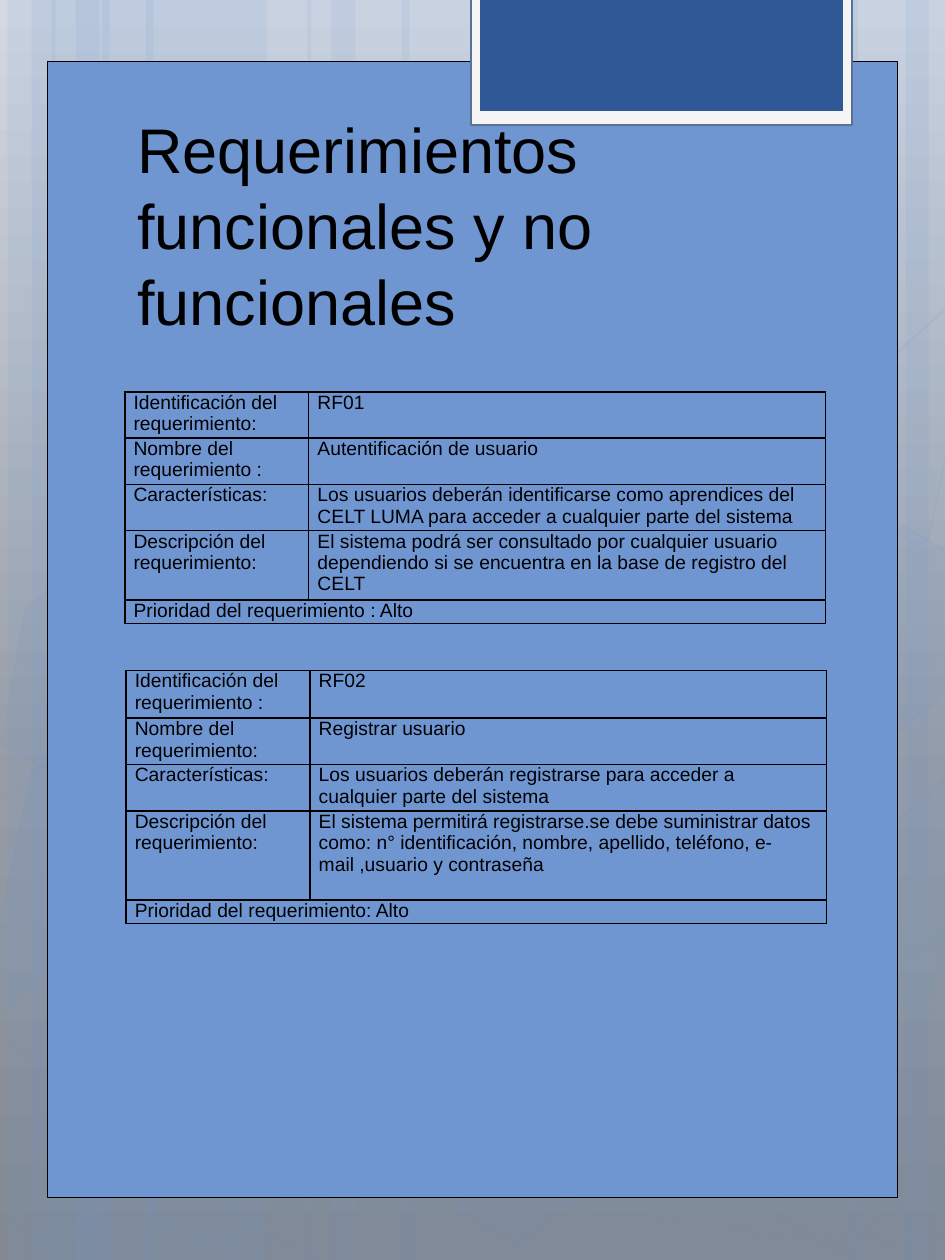
from copy import deepcopy
from dataclasses import dataclass

from lxml import etree
from pptx import Presentation
from pptx.dml.color import RGBColor
from pptx.enum.shapes import MSO_SHAPE
from pptx.enum.text import MSO_ANCHOR
from pptx.oxml.ns import qn
from pptx.util import Inches, Pt

RECTANGLE = MSO_SHAPE.RECTANGLE
HEXAGON = MSO_SHAPE.HEXAGON
BOTTOM = MSO_ANCHOR.BOTTOM

FONT = "Arial"
COLORS = {
    "sky": "D2D9E2", "haze": "959CA5", "ground": "828992",
    "blue": "7096D2", "ink": "000000",
    "frame": "F5F5F5", "frame_edge": "577293", "tab": "2F5897",
}
Point = tuple[float, float]


@dataclass
class Paint:
    fill: str | None = None
    fill_alpha: int = 100
    line: str | None = None
    line_width: float = 1
    line_alpha: int = 100


@dataclass
class Requirement:
    left: float
    top: float
    row_heights: list[float]
    rows: list[tuple[str, str]]
    priority: str


BACKDROP = [(0, "sky"), (0.62, "haze"), (1, "ground")]
BANDS = [  # left, width
    (0.81, 1.31), (0.06, 0.38), (0.25, 0.62), (1.16, 1.31), (0.41, 0.38), (0.6, 0.62),
    (5.5, 1.31), (7.19, 0.38), (6.75, 0.62), (3.19, 2.31), (2.44, 0.38), (2.63, 0.62),
]
WAVES = [  # start point, then three Bezier points for each segment
    [(0.05, 8.97), (0.46, 9.01), (0.86, 9.06), (1.43, 9.04), (1.99, 9.02), (2.68, 9),
     (3.43, 8.87), (4.19, 8.73), (5.25, 8.48), (5.94, 8.23), (6.62, 7.97), (7.33, 7.57),
     (7.55, 7.34)],
    [(0.05, 6.35), (0.27, 6.15), (0.49, 5.95), (0.91, 5.75), (1.34, 5.55), (1.94, 5.26),
     (2.61, 5.16), (3.27, 5.06), (4.08, 5.06), (4.9, 5.16), (5.73, 5.26), (7.1, 5.68),
     (7.55, 5.78)],
    [(0.04, 8.23), (0.95, 8.96), (1.85, 9.69), (2.51, 9.99)],
    [(0.05, 7.71), (0.29, 7.85), (0.52, 8), (0.96, 8.21), (1.4, 8.42), (2.05, 8.74),
     (2.67, 8.97), (3.3, 9.2), (4.09, 9.43), (4.71, 9.58), (5.33, 9.72), (6, 9.77),
     (6.39, 9.82), (6.79, 9.86), (6.89, 9.84), (7.09, 9.84), (7.28, 9.83), (7.42, 9.81),
     (7.55, 9.78)],
    [(1.82, 9.99), (1.95, 9.72), (2.08, 9.46), (2.26, 9.21), (2.45, 8.97), (2.7, 8.7),
     (2.91, 8.52), (3.12, 8.34), (3.25, 8.26), (3.52, 8.12), (3.8, 7.99), (4.3, 7.8),
     (4.56, 7.71), (4.83, 7.62), (4.87, 7.62), (5.1, 7.58), (5.33, 7.55), (5.7, 7.51),
     (5.96, 7.5), (6.21, 7.48), (6.65, 7.5), (6.65, 7.5), (6.8, 7.5), (7, 7.5),
     (7.14, 7.5), (7.28, 7.5), (7.41, 7.52), (7.54, 7.55)],
]
HEXAGONS = [  # left, top, fill alpha, line alpha
    (3.72, 7.85, 6, 12), (0.08, 7.88, 0, 12), (0.11, 4.16, 7, 8),
    (1.3, 7.89, 0, 12), (6.26, 7.91, 0, 12), (6.26, 4.18, 7, 8),
]
CUT_HEXAGONS = [  # corners, fill alpha
    ([(0.25, 6.14), (0.37, 6.03), (0.94, 6.36), (0.72, 7.4), (-0.07, 8.11), (-0.16, 8.06)], 10),
    ([(6.95, 6.67), (7.73, 5.96), (7.78, 5.99), (7.37, 7.98), (7.3, 8.04), (6.72, 7.71)], 4),
    ([(6.94, 2.96), (7.73, 2.25), (7.79, 2.28), (7.37, 4.27), (7.29, 4.33), (6.72, 4)], 0),
]
COLUMN_WIDTHS = [1.46, 4.1]
REQUIREMENTS = [
    Requirement(0.99, 3.11, [0.35, 0.35, 0.35, 0.53, 0.18], [
        ("Identificación del requerimiento:", "RF01"),
        ("Nombre del requerimiento :", "Autentificación de usuario"),
        ("Características:", "Los usuarios deberán identificarse como aprendices del "
         "CELT LUMA para acceder a cualquier parte del sistema"),
        ("Descripción del requerimiento:", "El sistema podrá ser consultado por cualquier "
         "usuario dependiendo si se encuentra en la base de registro del CELT"),
    ], "Prioridad del requerimiento : Alto"),
    Requirement(1, 5.32, [0.38, 0.35, 0.35, 0.71, 0.18], [
        ("Identificación del requerimiento :", "RF02"),
        ("Nombre del requerimiento:", "Registrar usuario"),
        ("Características:", "Los usuarios deberán registrarse para acceder a "
         "cualquier parte del sistema"),
        ("Descripción del requerimiento:", "El sistema permitirá registrarse.se debe "
         "suministrar datos como: n° identificación, nombre, apellido, teléfono, e-mail "
         ",usuario y contraseña"),
    ], "Prioridad del requerimiento: Alto"),
]


def rgb(name: str) -> RGBColor:
    return RGBColor.from_string(COLORS[name])


def set_alpha(holder, percent: int) -> None:
    if percent < 100:
        color = next(holder.iter(qn("a:srgbClr")))
        etree.SubElement(color, qn("a:alpha"), val=str(percent * 1000))


def apply_paint(shape, paint: Paint) -> None:
    shape.shadow.inherit = False
    properties = shape.element.spPr
    if paint.fill and paint.fill_alpha:
        shape.fill.solid()
        shape.fill.fore_color.rgb = rgb(paint.fill)
        set_alpha(properties.find(qn("a:solidFill")), paint.fill_alpha)
    else:
        shape.fill.background()
    if paint.line:
        shape.line.color.rgb = rgb(paint.line)
        shape.line.width = Pt(paint.line_width)
        set_alpha(properties.find(qn("a:ln")), paint.line_alpha)
    else:
        shape.line.fill.background()


def add_preset(page, kind, left: float, top: float, width: float, height: float, paint: Paint):
    shape = page.shapes.add_shape(kind, Inches(left), Inches(top), Inches(width), Inches(height))
    apply_paint(shape, paint)
    return shape


def add_outline(page, points: list[Point], closed: bool, paint: Paint):
    corners = [(Inches(x), Inches(y)) for x, y in points]
    builder = page.shapes.build_freeform(*corners[0])
    builder.add_line_segments(corners[1:], close=closed)
    shape = builder.convert_to_shape()
    apply_paint(shape, paint)
    return shape


def add_wave(page, knots: list[Point], paint: Paint) -> None:
    """Draw an outline through the knots, then join each three lines into one Bezier segment."""
    wave = add_outline(page, knots, False, paint)
    lines = list(wave.element.iter(qn("a:lnTo")))
    for first in range(0, len(lines), 3):
        curve = etree.Element(qn("a:cubicBezTo"))
        lines[first].addprevious(curve)
        for line in lines[first:first + 3]:
            curve.append(line[0])
            line.getparent().remove(line)


def paint_backdrop(page) -> None:
    fill = page.background.fill
    fill.gradient()
    fill.gradient_angle = 270
    stop_list = next(page.element.iter(qn("a:gsLst")))
    stop_list.insert(1, deepcopy(stop_list[0]))
    for stop, (position, color) in zip(fill.gradient_stops, BACKDROP):
        stop.position = position
        stop.color.rgb = rgb(color)


def format_cell(cell) -> None:
    cell.margin_left = cell.margin_right = Inches(0.07)
    cell.margin_top = cell.margin_bottom = 0
    properties = cell._tc.get_or_add_tcPr()
    for side in ("a:lnL", "a:lnR", "a:lnT", "a:lnB"):
        border = etree.SubElement(properties, qn(side), w=str(Pt(1)))
        solid = etree.SubElement(border, qn("a:solidFill"))
        etree.SubElement(solid, qn("a:srgbClr"), val=COLORS["ink"])
    cell.fill.background()


def format_para(para, size: float) -> None:
    para.font.name = FONT
    para.font.size = Pt(size)
    para.font.color.rgb = rgb("ink")


def add_requirement(page, item: Requirement) -> None:
    table = page.shapes.add_table(
        len(item.row_heights), len(COLUMN_WIDTHS), Inches(item.left), Inches(item.top),
        Inches(sum(COLUMN_WIDTHS)), Inches(sum(item.row_heights))).table
    table.first_row = table.horz_banding = False
    for column, width in zip(table.columns, COLUMN_WIDTHS):
        column.width = Inches(width)
    for row, height in zip(table.rows, item.row_heights):
        row.height = Inches(height)
    table.cell(len(item.rows), 0).merge(table.cell(len(item.rows), 1))
    for row, texts in zip(table.rows, [*item.rows, (item.priority, "")]):
        for cell, text in zip(row.cells, texts):
            cell.text = text
            format_cell(cell)
            format_para(cell.text_frame.paragraphs[0], 11)


def add_title(page) -> None:
    box = page.shapes.add_textbox(Inches(0.99), Inches(1.06), Inches(5.76), Inches(1.67))
    box.text_frame.word_wrap = True
    box.text_frame.vertical_anchor = BOTTOM
    para = box.text_frame.paragraphs[0]
    para.text = "Requerimientos funcionales y no funcionales"
    format_para(para, 36)


def main() -> None:
    deck = Presentation()
    deck.slide_width, deck.slide_height = Inches(7.5), Inches(10)
    page = deck.slides.add_slide(deck.slide_layouts[6])
    paint_backdrop(page)
    for left, width in BANDS:
        add_preset(page, RECTANGLE, left, 0, width, 10, Paint("blue", 10))
    for knots in WAVES:
        add_wave(page, knots, Paint(line="blue", line_width=0.5, line_alpha=20))
    for left, top, fill_alpha, line_alpha in HEXAGONS:
        hexagon = add_preset(page, HEXAGON, left, top, 1.31, 2.02,
                             Paint("blue", fill_alpha, "blue", 1, line_alpha))
        hexagon.adjustments[0] = 0.285
        hexagon.rotation = 30
    for corners, fill_alpha in CUT_HEXAGONS:
        add_outline(page, corners, True, Paint("blue", fill_alpha, "blue", 1, 12))
    add_preset(page, RECTANGLE, 0.38, 0.49, 6.74, 9.01, Paint("blue", line="ink", line_width=0.5))
    add_preset(page, RECTANGLE, 3.74, -0.03, 3.02, 1.02,
               Paint("frame", line="frame_edge", line_width=1.25))
    add_preset(page, RECTANGLE, 3.81, -0.03, 2.88, 0.91, Paint("tab"))
    add_title(page)
    for item in REQUIREMENTS:
        add_requirement(page, item)
    deck.save("out.pptx")


if __name__ == "__main__":
    main()
